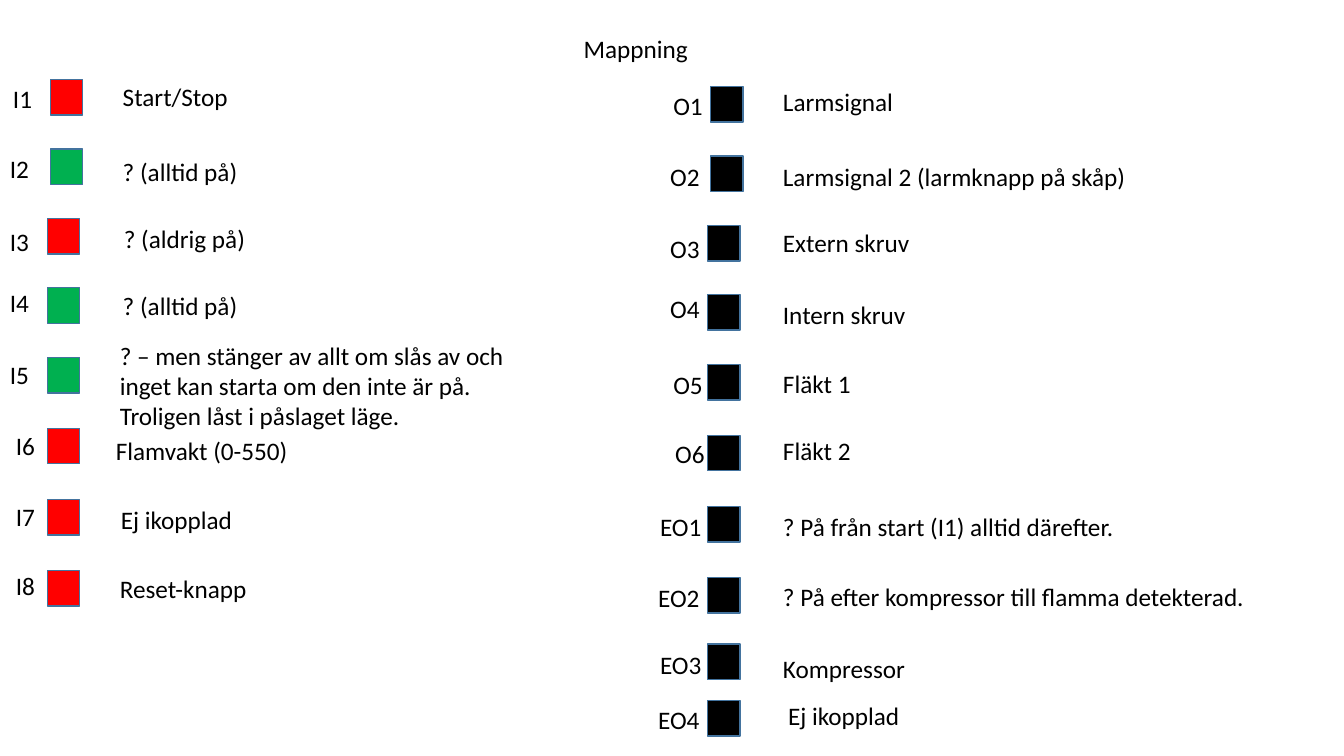
from dataclasses import dataclass
from pptx import Presentation
from pptx.dml.color import RGBColor
from pptx.enum.shapes import MSO_SHAPE
from pptx.enum.text import MSO_ANCHOR, MSO_AUTO_SIZE, PP_ALIGN
from pptx.util import Pt

RECT = MSO_SHAPE.RECTANGLE
TOP = MSO_ANCHOR.TOP
GROW = MSO_AUTO_SIZE.SHAPE_TO_FIT_TEXT
LEFT = PP_ALIGN.LEFT


@dataclass(frozen=True)
class Theme:
    """Colours, font and type size of the slide."""
    font: str = "Calibri"
    size: float = 18
    text: RGBColor = RGBColor(0, 0, 0)
    off: RGBColor = RGBColor(0xFF, 0, 0)
    on: RGBColor = RGBColor(0, 0xB0, 0x50)
    output: RGBColor = RGBColor(0, 0, 0)
    line: RGBColor = RGBColor(0x43, 0x73, 0x9E)


@dataclass(frozen=True)
class Signal:
    """One terminal, with label and caption offsets from its row."""
    code: str
    code_at: tuple
    caption: str
    caption_at: tuple
    width: float
    fill: RGBColor
    lines: int = 1


THEME = Theme()
LINE_H = 21.9
PADDING = 7.2
LAMP_W, LAMP_H = 23.2, 25.4
LAMP_X = [36] * 2 + [33.8] * 8
ROW_TOPS = (0, 49.5, 99.2, 148.6, 198.4, 249, 300, 350.6, 398, 438.4)
CODE_W = {"I": 28.8, "O": 38, "E": 46.8}

INPUTS = [
    Signal("I1", (2.2, -0.7), "Start/Stop", (80.6, -2.2), 90, THEME.off),
    Signal("I2", (0, -0.7), "? (alltid på)", (80.6, 1.4), 98, THEME.on),
    Signal("I3", (0, 2.2), "? (aldrig på)", (81.4, 0), 102.2, THEME.off),
    Signal("I4", (0, -3.6), "? (alltid på)", (80.6, -1.4), 98, THEME.on),
    Signal("I5", (0, -2.2),
           "? – men stänger av allt om slås av och inget kan starta om den "
           "inte är på. Troligen låst i påslaget läge.",
           (78.5, -15.8), 310.3, THEME.on, 3),
    Signal("I6", (4.3, -2.2), "Flamvakt (0-550)", (75.6, 1.4), 138.2, THEME.off),
    Signal("I7", (4.3, -2.2), "Ej ikopplad", (79.2, 0), 95, THEME.off),
    Signal("I8", (4.3, -3.6), "Reset-knapp", (78.5, -1.4), 106.6, THEME.off),
]
OUTPUTS = [
    Signal(*row, THEME.output) for row in (
        ("O1", (2.2, -0.7), "Larmsignal", (80.6, -3.6), 94.3),
        ("O2", (0, 0), "Larmsignal 2 (larmknapp på skåp)", (80.6, 0), 271.4),
        ("O3", (0, 2.2), "Extern skruv", (80.6, -2.2), 105.8),
        ("O4", (0, -4.3), "Intern skruv", (80.6, 0), 103),
        ("O5", (2.2, 0), "Fläkt 1", (80.6, -0.7), 63.4),
        ("O6", (3.6, -1.4), "Fläkt 2", (80.6, -3.6), 63.4),
        ("EO1", (-7.2, 0), "? På från start (I1) alltid därefter.", (80.6, 0), 253.4),
        ("EO2", (-8.6, 0), "? På efter kompressor till flamma detekterad.",
         (80.6, -0.7), 347.8),
        ("EO3", (-7.2, 0), "Kompressor", (80.6, 2.9), 102.2),
        ("EO4", (-8.6, -0.7), "Ej ikopplad", (84.2, -3.6), 95),
    )
]


def write(sp, text, wrap=True):
    """Put one formatted run of text in a shape."""
    tf = sp.text_frame
    tf.word_wrap = wrap
    tf.auto_size = GROW
    tf.vertical_anchor = TOP
    p = tf.paragraphs[0]
    p.alignment = LEFT
    p.line_spacing = 1.0
    r = p.add_run()
    r.text = text
    r.font.name = THEME.font
    r.font.size = Pt(THEME.size)
    r.font.color.rgb = THEME.text


def add_label(s, text, x, y, w, lines=1, wrap=True):
    """Add a text box tall enough for its lines."""
    h = lines * LINE_H + PADDING
    write(s.shapes.add_textbox(Pt(x), Pt(y), Pt(w), Pt(h)), text, wrap)


def add_lamp(s, x, y, fill):
    """Add the coloured square of one terminal."""
    sp = s.shapes.add_shape(RECT, Pt(x), Pt(y), Pt(LAMP_W), Pt(LAMP_H))
    sp.shadow.inherit = False
    sp.fill.solid()
    sp.fill.fore_color.rgb = fill
    sp.line.color.rgb = THEME.line
    sp.line.width = Pt(1)


def add_signals(s, box, signals):
    """Lay out a column of terminals from the corner of its box."""
    left, top = box
    for signal, lamp_x, row_top in zip(signals, LAMP_X, ROW_TOPS):
        y = top + row_top
        add_lamp(s, left + lamp_x, y, signal.fill)
        dx, dy = signal.code_at
        add_label(s, signal.code, left + dx, y + dy, CODE_W[signal.code[0]])
        dx, dy = signal.caption_at
        add_label(s, signal.caption, left + dx, y + dy, signal.width,
                  signal.lines, wrap=signal.lines > 1)


def add_title(s, box, text):
    """Move the title placeholder to its box and fill it."""
    sp = s.shapes.title
    sp.left, sp.top, sp.width, sp.height = map(Pt, box)
    write(sp, text)


def build():
    """Build and save the mapping slide."""
    prs = Presentation()
    prs.slide_width, prs.slide_height = Pt(960), Pt(540)
    s = prs.slides.add_slide(prs.slide_layouts[5])
    add_title(s, (409.7, 20.2, 95.8, 29.1), "Mappning")
    add_signals(s, (0, 56.9), INPUTS)
    add_signals(s, (471.6, 61.9), OUTPUTS)
    prs.save("out.pptx")


build()
